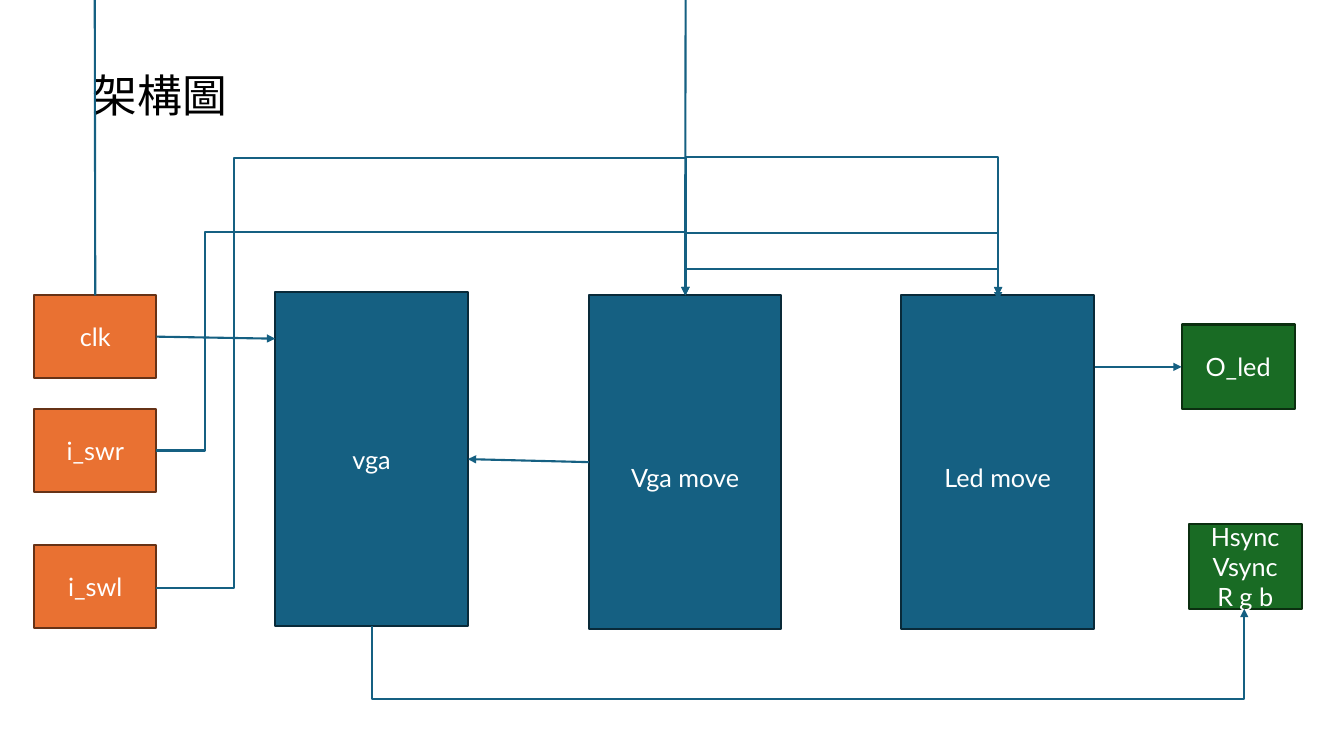
from dataclasses import dataclass
from typing import Any, Optional

from lxml.etree import SubElement as Sub
from pptx import Presentation
from pptx.dml.color import RGBColor as Rgb
from pptx.enum.shapes import MSO_CONNECTOR as Link
from pptx.enum.shapes import MSO_SHAPE as Shape
from pptx.enum.text import MSO_ANCHOR as Anchor
from pptx.enum.text import MSO_AUTO_SIZE as Fit
from pptx.enum.text import PP_ALIGN as Align
from pptx.oxml.ns import qn
from pptx.util import Inches, Pt

HUES = {
    "input": "E97132", "input edge": "663216",
    "block": "156082", "block edge": "092A39",
    "output": "196B24", "output edge": "0B2F10",
    "wire": "156082", "light": "FFFFFF", "dark": "000000",
}
SIZES = {"input": (1.21, 0.82), "block": (1.91, 3.31), "output": (1.12, 0.84)}
FRAME = {"word_wrap": True, "vertical_anchor": Anchor.MIDDLE}
LABEL = {"name": "Lato", "size": Pt(18)}
TITLE = {"name": "Lato", "size": Pt(32)}
LOOSE = {"word_wrap": False, "auto_size": Fit.SHAPE_TO_FIT_TEXT}
TOP, LEFT, RIGHT = 0, 1, 3


@dataclass
class Box:
    text: str
    kind: str
    left: float
    top: float
    drop: float = 0.05


@dataclass
class Wire:
    start: tuple[float, float]
    end: tuple[float, float]
    out: Optional[tuple[str, int]] = None
    into: Optional[tuple[str, int]] = None
    head: bool = True


@dataclass
class Bend:
    start: tuple[float, float]
    end: tuple[float, float]
    form: str = "bentConnector2"
    bends: tuple[int, ...] = ()
    turn: int = 0


BOXES = [
    Box("clk", "input", 0.34, 2.93),
    Box("i_swr", "input", 0.34, 4.06),
    Box("i_swl", "input", 0.34, 5.41),
    Box("vga", "block", 2.73, 2.9),
    Box("Vga move", "block", 5.84, 2.93, 0.35),
    Box("Led move", "block", 8.94, 2.93, 0.35),
    Box("O_led", "output", 11.72, 3.22),
    Box("Hsync\nVsync\nR g b", "output", 11.79, 5.2),
]
WIRES = [
    Wire((1.55, 3.34), (2.73, 3.36), out=("clk", RIGHT)),
    Wire((0.94, 2.93), (0.94, 0), out=("clk", TOP), head=False),
    Wire((6.8, 0), (6.8, 2.93), into=("Vga move", TOP)),
    Wire((10.86, 3.64), (11.72, 3.64), into=("O_led", LEFT)),
    Wire((5.84, 4.58), (4.65, 4.55), ("Vga move", LEFT), ("vga", RIGHT)),
]
BENDS = [
    Bend((1.55, 4.47), (6.8, 2.93), "bentConnector4", (9200, 140600)),
    Bend((1.55, 5.83), (6.8, 2.93), "bentConnector4", (14700, 146900)),
    Bend((6.8, 1.56), (9.9, 2.93)),
    Bend((6.8, 2.31), (9.9, 2.93)),
    Bend((6.8, 2.67), (9.9, 2.98)),
    Bend((8.1, 10.45), (7.93, 1.8), "bentConnector3", (-428200,), 90),
]


def tint(name: str) -> Rgb:
    return Rgb.from_string(HUES[name])


def apply(item: Any, values: dict[str, Any]) -> None:
    for key, value in values.items():
        setattr(item, key, value)


def write(frame: Any, text: str, style: dict[str, Any], hue: str, align: Align) -> None:
    frame.text = text
    for line in frame.paragraphs:
        line.alignment = align
        apply(line.runs[0].font, style)
        line.runs[0].font.color.rgb = tint(hue)


def draw_box(slide: Any, box: Box) -> Any:
    spot = (box.left, box.top, *SIZES[box.kind])
    shape = slide.shapes.add_shape(Shape.RECTANGLE, *map(Inches, spot))
    shape.shadow.inherit = False
    shape.fill.solid()
    shape.fill.fore_color.rgb = tint(box.kind)
    shape.line.color.rgb = tint(box.kind + " edge")
    shape.line.width = Pt(1.5)
    apply(shape.text_frame, FRAME | {"margin_top": Inches(box.drop)})
    write(shape.text_frame, box.text, LABEL, "light", Align.CENTER)
    return shape


def draw_line(slide: Any, item: Wire | Bend, kind: Link, head: bool) -> Any:
    line = slide.shapes.add_connector(kind, *map(Inches, item.start + item.end))
    line.line.color.rgb = tint("wire")
    line.line.width = Pt(1.5)
    if head:
        Sub(line.line._get_or_add_ln(), qn("a:tailEnd"), type="triangle")
    Sub(line._element.spPr, qn("a:effectLst"))
    return line


def draw_wire(slide: Any, wire: Wire, shapes: dict[str, Any]) -> None:
    line = draw_line(slide, wire, Link.STRAIGHT, wire.head)
    if wire.out:
        line.begin_connect(shapes[wire.out[0]], wire.out[1])
    if wire.into:
        line.end_connect(shapes[wire.into[0]], wire.into[1])


def draw_bend(slide: Any, bend: Bend) -> None:
    line = draw_line(slide, bend, Link.ELBOW, True)
    props = line._element.spPr
    if bend.turn:
        props.find(qn("a:xfrm")).set("rot", str(bend.turn * 60000))
    form = props.find(qn("a:prstGeom"))
    form.set("prst", bend.form)
    guides = form.find(qn("a:avLst"))
    for rank, value in enumerate(bend.bends, 1):
        Sub(guides, qn("a:gd"), name=f"adj{rank}", fmla=f"val {value}")


def main() -> None:
    deck = Presentation()
    apply(deck, {"slide_width": Inches(13.33), "slide_height": Inches(7.5)})
    slide = deck.slides.add_slide(deck.slide_layouts[6])
    title = slide.shapes.add_textbox(*map(Inches, (0.82, 0.62, 1.55, 0.64)))
    apply(title.text_frame, LOOSE)
    write(title.text_frame, "架構圖", TITLE, "dark", Align.LEFT)
    shapes = {box.text: draw_box(slide, box) for box in BOXES}
    for wire in WIRES:
        draw_wire(slide, wire, shapes)
    for bend in BENDS:
        draw_bend(slide, bend)
    deck.save("out.pptx")


if __name__ == "__main__":
    main()
